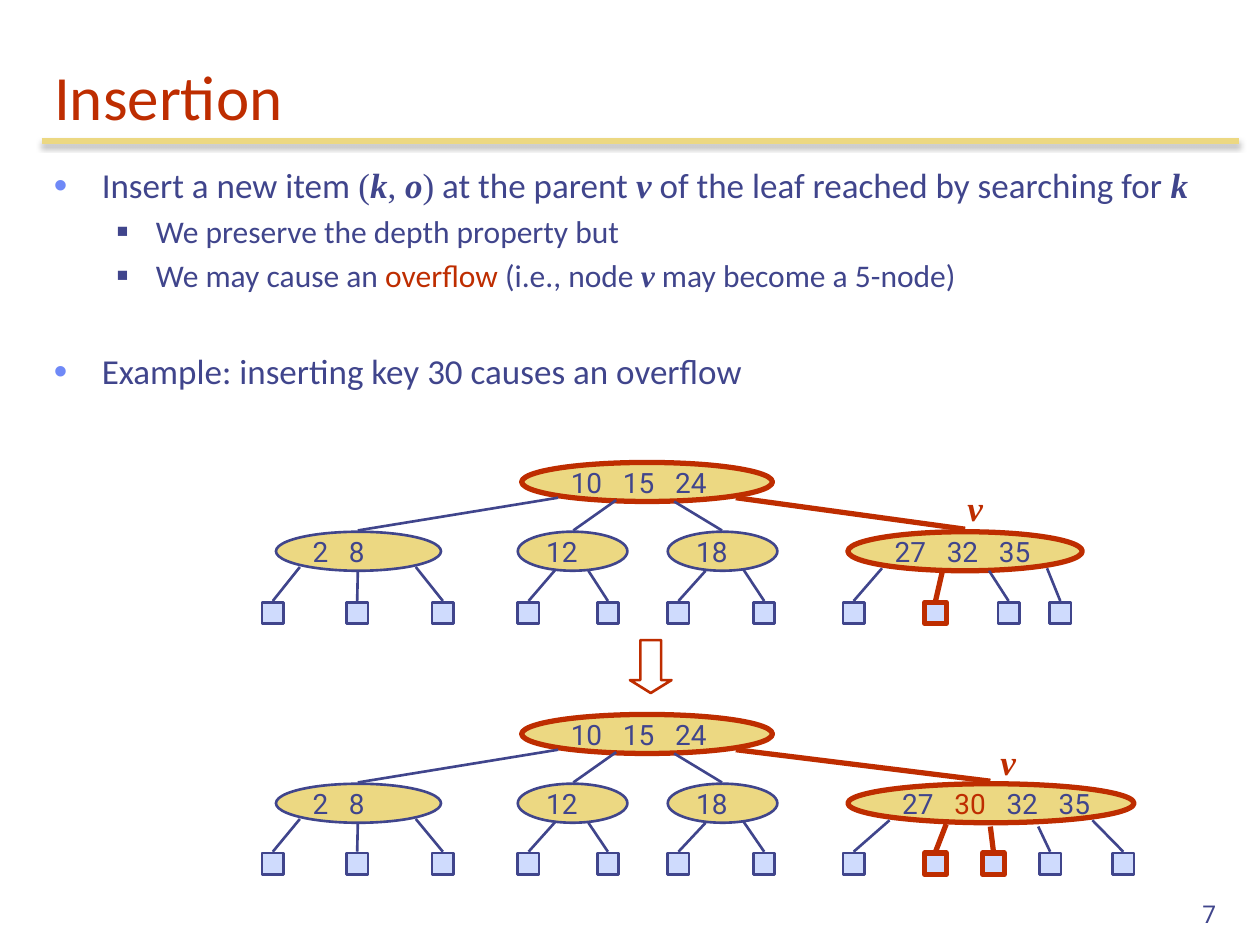
"""Build the slide on insertion into a multi-way search tree, before and after an overflow."""
import dataclasses

import pptx
import pptx.dml.color
import pptx.enum.shapes
import pptx.enum.text
import pptx.oxml
import pptx.oxml.ns
import pptx.util
from pptx.util import Inches


@dataclasses.dataclass(frozen=True)
class Theme:
    ink: str = "40458C"
    accent: str = "BE2D00"
    gold: str = "ECD882"
    leaf: str = "CFDBFD"
    bullet: str = "6F89F7"
    body_font: str = "Calibri"
    math_font: str = "Times New Roman"
    key_font: str = "Roboto"
    title_size: float = 36
    point_size: float = 20
    subpoint_size: float = 18
    key_size: float = 16
    number_size: float = 14
    thin: float = 1.5
    thick: float = 3


theme = Theme()
rgb = pptx.dml.color.RGBColor.from_string
Pt = pptx.util.Pt
shape_kinds = pptx.enum.shapes.MSO_SHAPE
anchors = pptx.enum.text.MSO_ANCHOR
alignments = pptx.enum.text.PP_ALIGN


def write(paragraph, text, size, font=theme.body_font, color=theme.ink, emphasis=False):
    run = paragraph.add_run()
    run.text = text
    run.font.size = Pt(size)
    run.font.name = font
    run.font.color.rgb = rgb(color)
    run.font.bold = run.font.italic = emphasis
    return run


def draw_shape(kind, left, top, width, height, fill, hot, weight):
    shape = slide.shapes.add_shape(kind, Inches(left), Inches(top), Inches(width), Inches(height))
    shape.shadow.inherit = False
    if fill:
        shape.fill.solid()
        shape.fill.fore_color.rgb = rgb(fill)
    else:
        shape.fill.background()
    shape.line.color.rgb = rgb(theme.accent if hot else theme.ink)
    shape.line.width = Pt(weight)
    return shape


presentation = pptx.Presentation()
presentation.slide_width = Inches(10)
presentation.slide_height = Inches(7.5)
slide = presentation.slides.add_slide(presentation.slide_layouts[5])

title = slide.shapes.title
title.left, title.top, title.width, title.height = Inches(0.33), Inches(0.33), Inches(9.5), Inches(0.78)
title.text_frame.vertical_anchor = anchors.BOTTOM
heading = title.text_frame.paragraphs[0]
heading.alignment = alignments.LEFT
write(heading, "Insertion", theme.title_size, color=theme.accent)

points = [
    (0, 4, [("Insert a new item ", "plain"), ("(", "math"), ("k", "variable"), (", ", "math"),
            ("o", "variable"), (")", "math"), (" at the parent ", "plain"), ("v", "variable"),
            (" of the leaf reached by searching for ", "plain"), ("k", "variable")]),
    (1, 3.6, [("We preserve the depth property but", "plain")]),
    (1, 3.6, [("We may cause an ", "plain"), ("overflow", "hot"), (" (i.e., node ", "plain"),
              ("v", "variable"), (" may become a 5-node)", "plain")]),
    (0, 32, [("Example: inserting key 30 causes an overflow", "plain")]),
]
levels = [
    (theme.point_size, 0.38, 0.38, "•", theme.bullet, 110),
    (theme.subpoint_size, 0.81, 0.31, "■", theme.ink, 60),
]
explanation = slide.shapes.add_textbox(Inches(0.33), Inches(1.25), Inches(9.5), Inches(2.2)).text_frame
explanation.word_wrap = True
for index, (level, gap, phrases) in enumerate(points):
    point = explanation.add_paragraph() if index else explanation.paragraphs[0]
    size, margin, hanging, mark, mark_color, mark_scale = levels[level]
    point.level = level
    point.space_before = Pt(gap)
    for words, style in phrases:
        write(point, words, size,
              font=theme.math_font if style in ("math", "variable") else theme.body_font,
              color=theme.accent if style == "hot" else theme.ink,
              emphasis=style == "variable")
    properties = point._p.get_or_add_pPr()
    properties.set("marL", str(Inches(margin)))
    properties.set("indent", str(-Inches(hanging)))
    namespace = pptx.oxml.ns.nsdecls("a")
    for bullet_xml in (
        f'<a:buClr {namespace}><a:srgbClr val="{mark_color}"/></a:buClr>',
        f'<a:buSzPct {namespace} val="{mark_scale * 1000}"/>',
        f'<a:buFont {namespace} typeface="Arial"/>',
        f'<a:buChar {namespace} char="{mark}"/>',
    ):
        properties.append(pptx.oxml.parse_xml(bullet_xml))

shared_nodes = [
    (4.14, 0, 1.99, ["10", "15", "24"], True),
    (2.19, 0.55, 1.31, ["2", "8"], False),
    (4.11, 0.55, 0.87, ["12"], False),
    (5.3, 0.55, 0.87, ["18"], False),
]
shared_branches = [
    (4.43, 0.28, 2.84, 0.54, False),
    (4.89, 0.3, 4.55, 0.54, False),
    (5.35, 0.31, 5.73, 0.54, False),
]
shared_leaves = [
    (2.08, 2.38, 0.83, False), (2.75, 2.84, 0.87, False), (3.43, 3.3, 0.83, False),
    (4.11, 4.41, 0.85, False), (4.74, 4.67, 0.86, False),
    (5.3, 5.6, 0.86, False), (5.98, 5.9, 0.85, False),
]
trees = [
    (3.67, 1.11, 1.86, ["27", "32", "35"], 7.66, (7.58, 3.81),
     [(6.69, 7, 0.84, False), (7.34, 7.48, 0.86, True),
      (7.92, 7.85, 0.86, False), (8.33, 8.31, 0.84, False)]),
    (5.67, 1.1, 2.27, ["27", "30", "32", "35"], 7.86, (7.84, 5.83),
     [(6.69, 7.06, 0.84, False), (7.34, 7.51, 0.87, True), (7.8, 7.86, 0.89, True),
      (8.25, 8.24, 0.89, False), (8.83, 8.67, 0.84, False)]),
]
inserted_key = "30"
leaf_side = 0.17
lines = [(0.33, 1.12, 9.83, 1.12, theme.gold, theme.thick)]

for top, leaf_drop, v_width, v_keys, v_x, v_label, v_leaves in trees:
    for left, drop, width, keys, hot in shared_nodes + [(6.73, 0.55, v_width, v_keys, True)]:
        node = draw_shape(shape_kinds.OVAL, left, top + drop, width, 0.31, theme.gold, hot,
                          theme.thick if hot else theme.thin).text_frame
        node.word_wrap = False
        node.vertical_anchor = anchors.MIDDLE
        key_row = node.paragraphs[0]
        key_row.alignment = alignments.LEFT
        for position, key in enumerate(keys):
            if position:
                spacer = write(key_row, " ", theme.key_size, theme.key_font)
                spacer.font._element.set("spc", "790")
            write(key_row, key, theme.key_size, theme.key_font,
                  theme.accent if key == inserted_key else theme.ink)

    branches = shared_branches + [(5.84, 0.28, v_x, 0.53, True)]
    for left, parent_x, parent_drop, hot in shared_leaves + v_leaves:
        draw_shape(shape_kinds.RECTANGLE, left, top + leaf_drop, leaf_side, leaf_side, theme.leaf, hot,
                   theme.thick if hot else theme.thin)
        branches.append((parent_x, parent_drop, left + leaf_side / 2, leaf_drop - 0.01, hot))
    for start_x, start_drop, end_x, end_drop, hot in branches:
        lines.append((start_x, top + start_drop, end_x, top + end_drop,
                      theme.accent if hot else theme.ink, theme.thick if hot else theme.thin))

    label = slide.shapes.add_textbox(Inches(v_label[0]), Inches(v_label[1]), Inches(0.32), Inches(0.43))
    label.text_frame.word_wrap = False
    write(label.text_frame.paragraphs[0], "v", theme.point_size, theme.math_font, theme.accent, True)

for index, (start_x, start_y, end_x, end_y, color, weight) in enumerate(lines):
    line = slide.shapes.add_connector(pptx.enum.shapes.MSO_CONNECTOR.STRAIGHT, Inches(start_x),
                                      Inches(start_y), Inches(end_x), Inches(end_y))
    line.line.color.rgb = rgb(color)
    line.line.width = Pt(weight)
    title_shadow = (f'<a:outerShdw blurRad="{Pt(3.1)}" dist="{Pt(1.8)}" dir="5400000" rotWithShape="0">'
                    '<a:srgbClr val="000000"><a:alpha val="35000"/></a:srgbClr></a:outerShdw>')
    effects = "" if index else title_shadow
    line._element.spPr.append(pptx.oxml.parse_xml(
        f'<a:effectLst {pptx.oxml.ns.nsdecls("a")}>{effects}</a:effectLst>'))

step_arrow = draw_shape(shape_kinds.DOWN_ARROW, 5, 5.08, 0.33, 0.42, None, True, theme.thin)
step_arrow.adjustments[0] = 0.5
step_arrow.adjustments[1] = 0.31

page = slide.shapes.add_textbox(Inches(7.67), Inches(6.92), Inches(2.08), Inches(0.5)).text_frame
page.word_wrap = True
page.vertical_anchor = anchors.BOTTOM
page.paragraphs[0].alignment = alignments.RIGHT
write(page.paragraphs[0], "7", theme.number_size, theme.key_font)

presentation.save("out.pptx")
